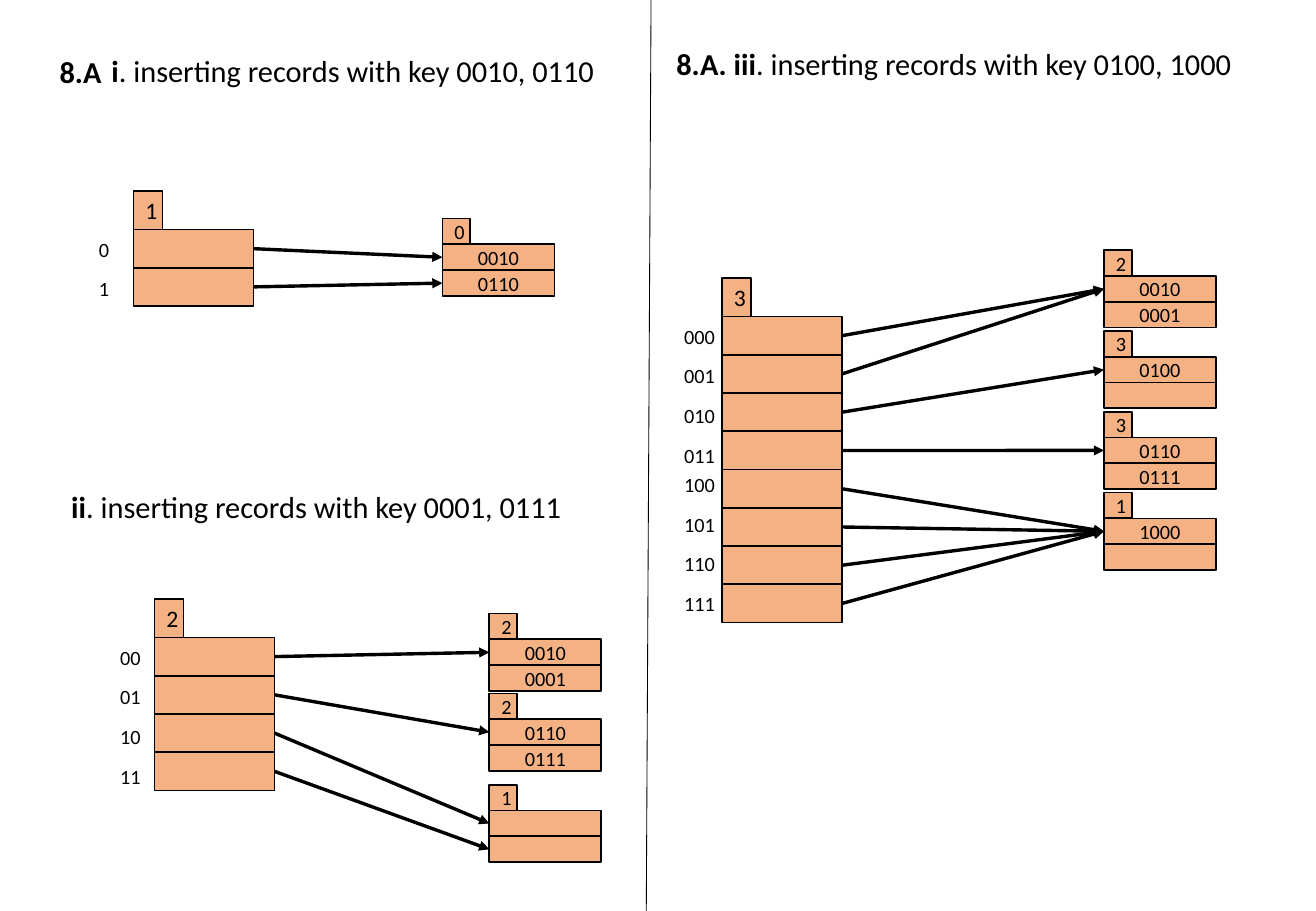
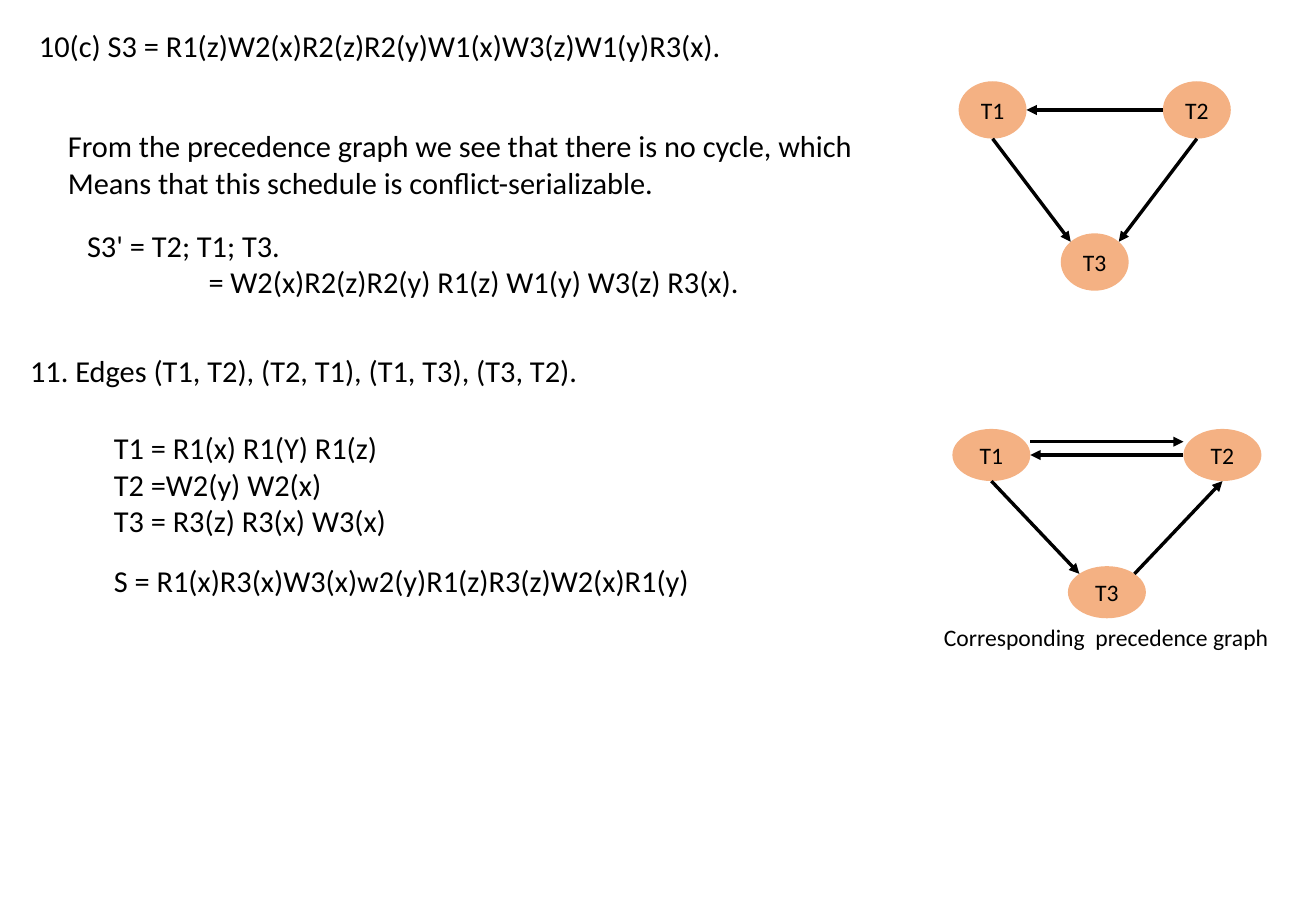
import math
from dataclasses import dataclass

import pptx
import pptx.dml.color
import pptx.enum.shapes
import pptx.enum.text
import pptx.oxml
import pptx.oxml.ns
import pptx.util

Cm = pptx.util.Cm
Pt = pptx.util.Pt
SHAPES = pptx.enum.shapes.MSO_SHAPE
LEFT = pptx.enum.text.PP_ALIGN.LEFT
CENTER = pptx.enum.text.PP_ALIGN.CENTER


@dataclass(frozen=True)
class Theme:
    font: str = "Calibri"
    ink: pptx.dml.color.RGBColor = pptx.dml.color.RGBColor(0, 0, 0)
    box: pptx.dml.color.RGBColor = pptx.dml.color.RGBColor(0xF4, 0xB1, 0x83)
    body: int = 18
    node: int = 14
    small: int = 12
    outline: float = 1
    arrow: float = 2
    divider: float = 0.5


THEME = Theme()

# Content: hashing slide. Boxes are (left, top, width, height) in cm.
HASHING_TITLE = ("8.A", (0.99, 0.99, 1.4, 1.02))
STEP_HEADINGS = [
    ("i", ". inserting records with key 0010, 0110", (2.08, 0.97, 10.72, 1.02)),
    ("ii", ". inserting records with key 0001, 0111", (1.24, 10.08, 10.87, 1.02)),
    ("8.A. iii", ". inserting records with key 0100, 1000", (13.89, 0.81, 12.24, 1.02)),
]
# Each bucket is (top, local depth, records); each pointer is (bucket, record).
HASH_TABLES = [
    dict(depth=1, at=(2.79, 4.8), label_shift=0.97, bucket_left=9.25,
         buckets=[(4.57, 0, ("0010", "0110"))],
         pointers=[(0, 0), (0, 1)]),
    dict(depth=2, at=(3.23, 13.33), label_shift=0.97, bucket_left=10.23,
         buckets=[(12.83, 2, ("0010", "0001")),
                  (14.5, 2, ("0110", "0111")),
                  (16.41, 1, ("", ""))],
         pointers=[(0, 0), (1, 0), (2, 0), (2, 1)]),
    dict(depth=3, at=(15.09, 6.62), label_shift=1.04, bucket_left=23.08,
         buckets=[(5.23, 2, ("0010", "0001")),
                  (6.92, 3, ("0100", "")),
                  (8.61, 3, ("0110", "0111")),
                  (10.3, 1, ("1000", ""))],
         pointers=[(0, 0), (0, 0), (1, 0), (2, 0)] + [(3, 0)] * 4),
]
DIVIDER = ((13.61, 0), (13.51, 19.05))

# Content: schedules slide
SCHEDULE_TITLE = ("10(c) S3 = R1(z)W2(x)R2(z)R2(y)W1(x)W3(z)W1(y)R3(x).",
                  (0.56, 0.43, 15.67, 1.8))
SERIAL_ORDER = (["S3' = T2; T1; T3.",
                 "= W2(x)R2(z)R2(y) R1(z) W1(y) W3(z) R3(x)."],
                (1.57, 4.62, 14.45, 1.8))
SCHEDULE_NOTES = [
    (["From the precedence graph we see that there is no cycle, which",
      "Means that this schedule is conflict-serializable."],
     (1.17, 2.54, 17.27, 1.8)),
    (["11. Edges (T1, T2), (T2, T1), (T1, T3), (T3, T2)."],
     (0.38, 7.24, 12.27, 1.02)),
    (["T1 = R1(x) R1(Y) R1(z)", "T2 =W2(y) W2(x)", "T3 = R3(z) R3(x) W3(x)"],
     (2.13, 8.86, 6.3, 2.57)),
    (["S = R1(x)R3(x)W3(x)w2(y)R1(z)R3(z)W2(x)R1(y)"],
     (2.13, 11.63, 12.67, 1.02)),
]
GRAPH_CAPTION = (["Corresponding  precedence graph"], (19.48, 12.9, 7.37, 0.86))
# Each edge is (from, angle on its rim, to, angle on its rim, lift).
GRAPHS = [
    dict(at=(20.04, 1.7), size=(1.42, 1.2), across=4.27, down=3.18,
         edges=[("T1", 270, "T3", 135, 0), ("T2", 180, "T1", 0, 0),
                ("T2", 270, "T3", 45, 0)]),
    dict(at=(19.91, 8.97), size=(1.63, 1.09), across=4.83, down=2.87,
         edges=[("T1", 270, "T3", 135, 0), ("T2", 180, "T1", 0, 0),
                ("T3", 45, "T2", 270, 0), ("T1", 0, "T2", 180, 0.28)]),
]

# Shared measures in cm
ENTRY_W, ENTRY_H, DEPTH_W = 2.51, 0.8, 0.61
RECORD_W, RECORD_H, LOCAL_W = 2.34, 0.54, 0.58
LABEL_STEP, LABEL_BLOCK, LABEL_H = 0.83, 3.1, 0.76


def lengths(values):
    return [Cm(value) for value in values]


def style(paragraph, size, align):
    paragraph.alignment = align
    paragraph.font.name = THEME.font
    paragraph.font.size = Pt(size)
    paragraph.font.color.rgb = THEME.ink


def write(holder, lines, size, wrap=False):
    """Fill a text holder; a line is a string or a list of (text, bold)."""
    frame = holder.text_frame
    frame.word_wrap = wrap
    frame.auto_size = pptx.enum.text.MSO_AUTO_SIZE.SHAPE_TO_FIT_TEXT
    frame.vertical_anchor = pptx.enum.text.MSO_ANCHOR.TOP
    for index, line in enumerate(lines):
        paragraph = frame.add_paragraph() if index else frame.paragraphs[0]
        style(paragraph, size, LEFT)
        for text, bold in [(line, False)] if isinstance(line, str) else line:
            run = paragraph.add_run()
            run.text = text
            run.font.bold = bold
    return frame


def add_text(slide, lines, box, size):
    return write(slide.shapes.add_textbox(*lengths(box)), lines, size)


def add_title(slide, line, box, wrap=False):
    title = slide.shapes.title
    title.left, title.top, title.width, title.height = lengths(box)
    write(title, [line], THEME.body, wrap)


def add_node(slide, kind, box, text, size, outlined):
    node = slide.shapes.add_shape(kind, *lengths(box))
    node.shadow.inherit = False
    node.fill.solid()
    node.fill.fore_color.rgb = THEME.box
    if outlined:
        node.line.color.rgb = THEME.ink
        node.line.width = Pt(THEME.outline)
    else:
        node.line.fill.background()
    if text:
        paragraph = node.text_frame.paragraphs[0]
        paragraph.text = text
        style(paragraph, size, CENTER)
    return node


def add_cell(slide, left, top, width, height, text="", size=THEME.small):
    return add_node(slide, SHAPES.RECTANGLE, (left, top, width, height),
                    text, size, True)


def add_line(slide, start, end, width, arrow=True):
    line = slide.shapes.add_connector(
        pptx.enum.shapes.MSO_CONNECTOR.STRAIGHT, *lengths((*start, *end)))
    line.line.color.rgb = THEME.ink
    line.line.width = Pt(width)
    if arrow:
        head = pptx.oxml.parse_xml(
            '<a:tailEnd %s type="triangle"/>' % pptx.oxml.ns.nsdecls("a"))
        line.line._get_or_add_ln().append(head)
    line._element.spPr.append(pptx.oxml.parse_xml(
        "<a:effectLst %s/>" % pptx.oxml.ns.nsdecls("a")))
    return line


def add_hash_table(slide, depth, at, label_shift, bucket_left, buckets, pointers):
    left, top = at
    # Directory with its global depth
    add_cell(slide, left, top - ENTRY_H, DEPTH_W, ENTRY_H, str(depth), THEME.node)
    entries = []
    for index in range(2 ** depth):
        entries.append(add_cell(slide, left, top + index * ENTRY_H, ENTRY_W, ENTRY_H))
        block, place = divmod(index, 4)
        label_top = top + 0.03 + block * LABEL_BLOCK + place * LABEL_STEP
        label_box = (left - label_shift, label_top, 0.52 + 0.22 * depth, LABEL_H)
        add_text(slide, [format(index, "0%db" % depth)], label_box, THEME.small)
    # Buckets with their local depths
    records = {}
    for bucket, (bucket_top, local_depth, keys) in enumerate(buckets):
        add_cell(slide, bucket_left, bucket_top, LOCAL_W, RECORD_H, str(local_depth))
        for row, key in enumerate(keys):
            records[bucket, row] = add_cell(
                slide, bucket_left, bucket_top + (row + 1) * RECORD_H,
                RECORD_W, RECORD_H, key)
    # Pointers run from right edge (site 3) to left edge (site 1)
    for entry, target in zip(entries, pointers):
        pointer = add_line(slide, (0, 0), (1, 1), THEME.arrow)
        pointer.begin_connect(entry, 3)
        pointer.end_connect(records[target], 1)


def add_graph(slide, at, size, across, down, edges):
    left, top = at
    width, height = size
    corners = {"T1": (left, top), "T2": (left + across, top),
               "T3": (left + across / 2, top + down)}
    for name, corner in corners.items():
        add_node(slide, SHAPES.OVAL, (*corner, *size), name, THEME.node, False)

    def rim(name, degrees, lift):
        x, y = corners[name]
        angle = math.radians(degrees)
        return (x + width / 2 * (1 + math.cos(angle)),
                y + height / 2 * (1 - math.sin(angle)) - lift)

    for source, leave, target, arrive, lift in edges:
        add_line(slide, rim(source, leave, lift), rim(target, arrive, lift),
                 THEME.arrow)


deck = pptx.Presentation()
deck.slide_width, deck.slide_height = Cm(27.51), Cm(19.05)
title_only = deck.slide_layouts[5]

# Slide 1: extendible hashing
hashing = deck.slides.add_slide(title_only)
add_title(hashing, [(HASHING_TITLE[0], True)], HASHING_TITLE[1])
for step, task, box in STEP_HEADINGS:
    add_text(hashing, [[(step, True), (task, False)]], box, THEME.body)
add_line(hashing, *DIVIDER, THEME.divider, arrow=False)
for hash_table in HASH_TABLES:
    add_hash_table(hashing, **hash_table)

# Slide 2: schedules and precedence graphs
schedules = deck.slides.add_slide(title_only)
add_title(schedules, *SCHEDULE_TITLE, wrap=True)
for lines, box in SCHEDULE_NOTES:
    add_text(schedules, lines, box, THEME.body)
serial_order = add_text(schedules, *SERIAL_ORDER, THEME.body)
expansion = serial_order.paragraphs[1]._p.get_or_add_pPr()
expansion.set("marL", str(Cm(2.54)))
expansion.set("indent", "0")
for graph in GRAPHS:
    add_graph(schedules, **graph)
add_text(schedules, *GRAPH_CAPTION, THEME.node)

deck.save("out.pptx")
